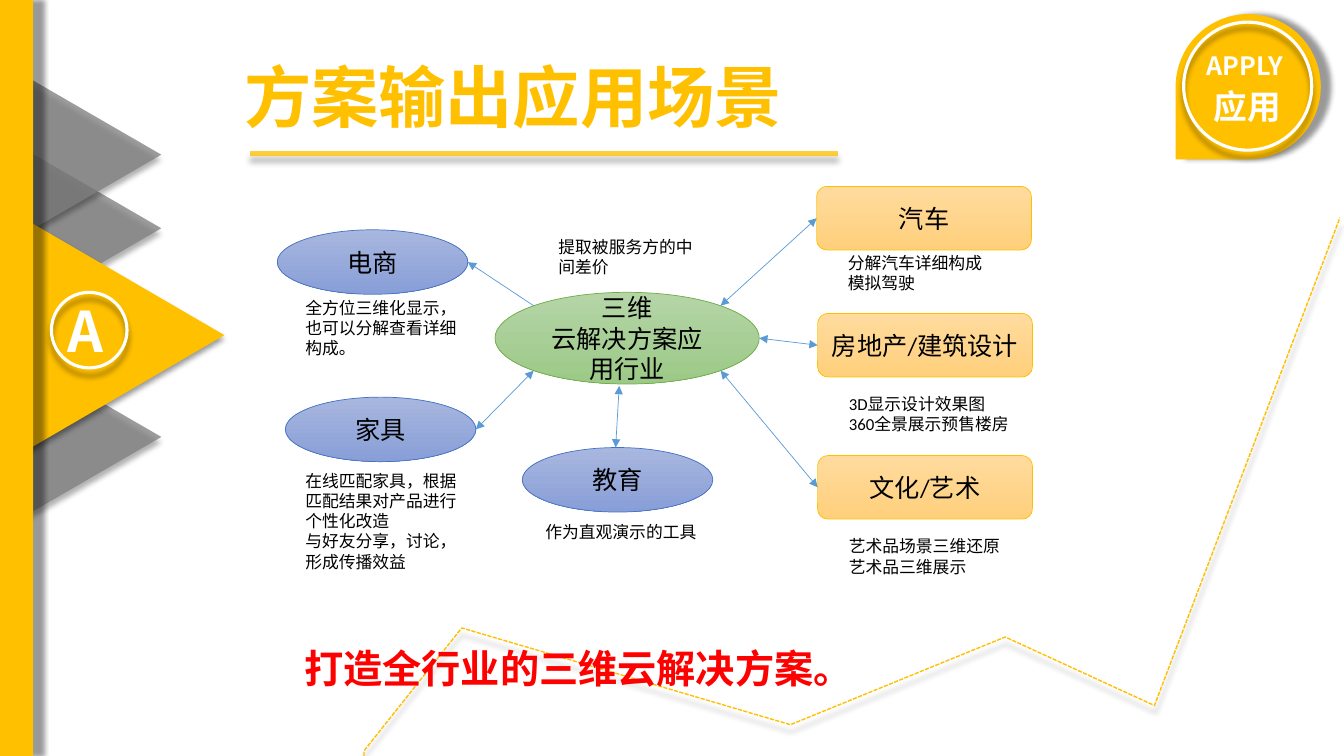
from lxml import etree
from pptx import Presentation
from pptx.dml.color import RGBColor
from pptx.enum.dml import MSO_LINE
from pptx.enum.shapes import MSO_CONNECTOR, MSO_SHAPE
from pptx.enum.text import MSO_ANCHOR, MSO_AUTO_SIZE, PP_ALIGN
from pptx.oxml.ns import qn
from pptx.util import Inches, Pt

GOLD = RGBColor(0xFF, 0xC0, 0x00)
GRAY = RGBColor(0x80, 0x80, 0x80)
WHITE = RGBColor(0xFF, 0xFF, 0xFF)
BLACK = RGBColor(0x00, 0x00, 0x00)
RED = RGBColor(0xFF, 0x00, 0x00)
ARROW_BLUE = RGBColor(0x5B, 0x9B, 0xD5)
# Gradient top, gradient bottom, outline
GREEN_STYLE = (RGBColor(0xB5, 0xD5, 0xA7), RGBColor(0x9C, 0xC9, 0x87), RGBColor(0x70, 0xAD, 0x47))
AMBER_STYLE = (RGBColor(0xFF, 0xDB, 0x9E), RGBColor(0xFF, 0xD0, 0x7C), GOLD)
BLUE_STYLE = (RGBColor(0xA8, 0xB7, 0xDF), RGBColor(0x88, 0x9E, 0xD7), RGBColor(0x44, 0x72, 0xC4))

HEAVY = "Noto Sans CJK SC"
BODY = "Calibri"
CELL = 0.1  # grid pitch in inches


def cells(origin, x, y, w, h):
    """Turn grid columns and rows, counted from origin, into a box in inches."""
    return origin[0] + x * CELL, origin[1] + y * CELL, w * CELL, h * CELL


def child(parent, tag, **attrs):
    return etree.SubElement(parent, qn(tag), {k: str(v) for k, v in attrs.items()})


def add_shadow(shape, dist, angle):
    shape.shadow.inherit = False
    effects = shape._element.spPr.find(qn("a:effectLst"))
    shadow = child(effects, "a:outerShdw", blurRad=Pt(4), dist=Pt(dist),
                   dir=angle * 60000, algn="ctr", rotWithShape=0)
    child(child(shadow, "a:srgbClr", val="000000"), "a:alpha", val=40000)


def write(shape, text, size=12, font=BODY, color=BLACK, bold=False,
          align=PP_ALIGN.LEFT, anchor=MSO_ANCHOR.TOP, wrap=True):
    tf = shape.text_frame
    tf.word_wrap = wrap
    tf.auto_size = MSO_AUTO_SIZE.NONE
    tf.vertical_anchor = anchor
    for i, line in enumerate(text.split("\n")):
        p = tf.paragraphs[0] if i == 0 else tf.add_paragraph()
        p.alignment = align
        r = p.add_run()
        r.text = line
        r.font.size, r.font.bold, r.font.name = Pt(size), bold, font
        r.font.color.rgb = color
        child(r._r.get_or_add_rPr(), "a:ea", typeface=HEAVY)


def add_text(s, box, text, **fmt):
    write(s.shapes.add_textbox(*map(Inches, box)), text, **fmt)


def add_solid(s, kind, box, color=None, alpha=100, rotation=0, dist=4, angle=90):
    """Add a shadowed shape: filled when a colour is given, else a white ring."""
    sp = s.shapes.add_shape(kind, *map(Inches, box))
    sp.rotation = rotation
    if color is None:
        sp.fill.background()
        sp.line.color.rgb = WHITE
        sp.line.width = Pt(2.25)
    else:
        sp.fill.solid()
        sp.fill.fore_color.rgb = color
        sp.line.fill.background()
        if alpha < 100:
            srgb = sp._element.spPr.find(qn("a:solidFill"))[0]
            child(srgb, "a:alpha", val=alpha * 1000)
    add_shadow(sp, dist, angle)


def add_node(s, kind, box, text, style):
    top, bottom, outline = style
    sp = s.shapes.add_shape(kind, *map(Inches, box))
    sp.shadow.inherit = False
    sp.fill.gradient()
    sp.fill.gradient_angle = 270
    for stop, color in zip(sp.fill.gradient_stops, (top, bottom)):
        stop.color.rgb = color
    sp.line.color.rgb = outline
    sp.line.width = Pt(0.5)
    write(sp, text, size=18, align=PP_ALIGN.CENTER, anchor=MSO_ANCHOR.MIDDLE)


def add_arrow(s, start, end, both=True):
    c = s.shapes.add_connector(MSO_CONNECTOR.STRAIGHT, *map(Inches, start + end))
    c.line.color.rgb = ARROW_BLUE
    c.line.width = Pt(0.5)
    ln = c.line._get_or_add_ln()
    if both:
        child(ln, "a:headEnd", type="triangle")
    child(ln, "a:tailEnd", type="triangle")
    child(c._element.spPr, "a:effectLst")


def add_heading(s, origin):
    title = s.shapes.title
    title.left, title.top, title.width, title.height = map(Inches, cells(origin, 0, 0, 55.9, 9.1))
    write(title, "方案输出应用场景", size=48, font=HEAVY, color=GOLD, bold=True, wrap=False)
    add_solid(s, MSO_SHAPE.RECTANGLE, cells(origin, 1.6, 10, 58.3, 0.5), GOLD, alpha=77)


def add_badge(s, origin):
    add_solid(s, MSO_SHAPE.TEAR, cells(origin, 0, 0, 14.4, 14.4), GOLD, rotation=180, dist=7, angle=0)
    label = dict(font=HEAVY, color=WHITE, bold=True, align=PP_ALIGN.JUSTIFY, wrap=False)
    add_text(s, cells(origin, 2.1, 3.1, 10.1, 4), "APPLY", size=18, **label)
    add_text(s, cells(origin, 2.8, 6.6, 8.8, 5), "应用", size=24, **label)
    add_solid(s, MSO_SHAPE.OVAL, cells(origin, 0.8, 0.8, 12.7, 12.7), dist=5)


def add_trend(s, points):
    x, y = points[0]
    builder = s.shapes.build_freeform(Inches(x), Inches(y))
    builder.add_line_segments([(Inches(x), Inches(y)) for x, y in points[1:]], close=False)
    sp = builder.convert_to_shape()
    sp.fill.background()
    sp.line.color.rgb = GOLD
    sp.line.width = Pt(1)
    sp.line.dash_style = MSO_LINE.SQUARE_DOT
    add_shadow(sp, 5, 90)


def add_side_rail(s, origin, height):
    for row in (36.4, 15.7, 8.4):
        add_solid(s, MSO_SHAPE.ISOSCELES_TRIANGLE, cells(origin, 1, row, 16.1, 13.9),
                  GRAY, alpha=77, rotation=90)
    add_solid(s, MSO_SHAPE.ISOSCELES_TRIANGLE, cells(origin, 0.5, 23.2, 23.4, 20.1),
              GOLD, rotation=90, dist=3)
    add_solid(s, MSO_SHAPE.RECTANGLE, (*origin, 0.33, height), GOLD, dist=7, angle=0)
    add_text(s, cells(origin, 5.7, 28.9, 6.2, 7.7), "A", size=40, font=HEAVY,
             color=WHITE, bold=True, wrap=False)
    add_solid(s, MSO_SHAPE.OVAL, cells(origin, 5.1, 29, 7.5, 7.5), dist=5)


def add_industry_map(s, origin):
    near, far = 0.146, 0.854  # diagonal points of an ellipse, as shares of its box
    hub = cells(origin, 21.6, 10.5, 26.2, 9.1)
    # Name, column, row, style, point on hub, point on node, two-headed
    nodes = [
        ("汽车", 53.5, 0, AMBER_STYLE, (far, near), (0, 0.5), True),
        ("房地产/建筑设计", 53.6, 12.6, AMBER_STYLE, (1, 0.5), (0, 0.5), True),
        ("文化/艺术", 53.6, 26.7, AMBER_STYLE, (far, far), (0, 0.5), True),
        ("电商", 0, 4.3, BLUE_STYLE, (near, near), (1, 0.5), False),
        ("家具", 0.8, 20.9, BLUE_STYLE, (near, far), (1, 0.5), True),
        ("教育", 24.3, 25.9, BLUE_STYLE, (0.47, 1.02), (0.49, 0), True),
    ]
    notes = [
        ("全方位三维化显示，也可以分解查看详细构成。", 1.8, 10.5, 18, 9.1),
        ("分解汽车详细构成\n模拟驾驶", 55.6, 6.1, 15.5, 5),
        ("3D显示设计效果图\n360全景展示预售楼房", 55.7, 20.1, 18.1, 5),
        ("提取被服务方的中间差价", 26.9, 4.5, 15.6, 5),
        ("艺术品场景三维还原\n艺术品三维展示", 55.7, 34.2, 17.2, 7.1),
        ("作为直观演示的工具", 25.6, 32.8, 17.2, 5),
        ("在线匹配家具，根据匹配结果对产品进行个性化改造\n与好友分享，讨论，形成传播效益", 1.8, 27.7, 17.1, 15.1),
    ]

    def point(box, share):
        return box[0] + box[2] * share[0], box[1] + box[3] * share[1]

    add_node(s, MSO_SHAPE.OVAL, hub, "三维\n云解决方案应用行业", GREEN_STYLE)
    for name, x, y, style, on_hub, on_node, both in nodes:
        amber = style is AMBER_STYLE
        box = cells(origin, x, y, *((21.3, 6.3) if amber else (18.9, 6.4)))
        add_node(s, MSO_SHAPE.ROUNDED_RECTANGLE if amber else MSO_SHAPE.OVAL, box, name, style)
        add_arrow(s, point(hub, on_hub), point(box, on_node), both)
    for text, *place in notes:
        add_text(s, cells(origin, *place), text)


def main():
    prs = Presentation()
    prs.slide_width, prs.slide_height = Inches(13.33), Inches(7.5)
    s = prs.slides.add_slide(prs.slide_layouts[5])
    add_badge(s, (11.66, 0.14))
    add_heading(s, (2.32, 0.5))
    add_trend(s, [(3.61, 7.5), (3.61, 7.45), (4.58, 6.23), (7.84, 7.19),
                  (9.97, 6.32), (11.45, 7), (13.29, 2.16)])
    add_side_rail(s, (0, 0), 7.5)
    add_text(s, (2.92, 6.34, 6.37, 1.04), "打造全行业的三维云解决方案。",
             size=28, font=HEAVY, color=RED, bold=True)
    add_industry_map(s, (2.75, 1.85))
    prs.save("out.pptx")


if __name__ == "__main__":
    main()
